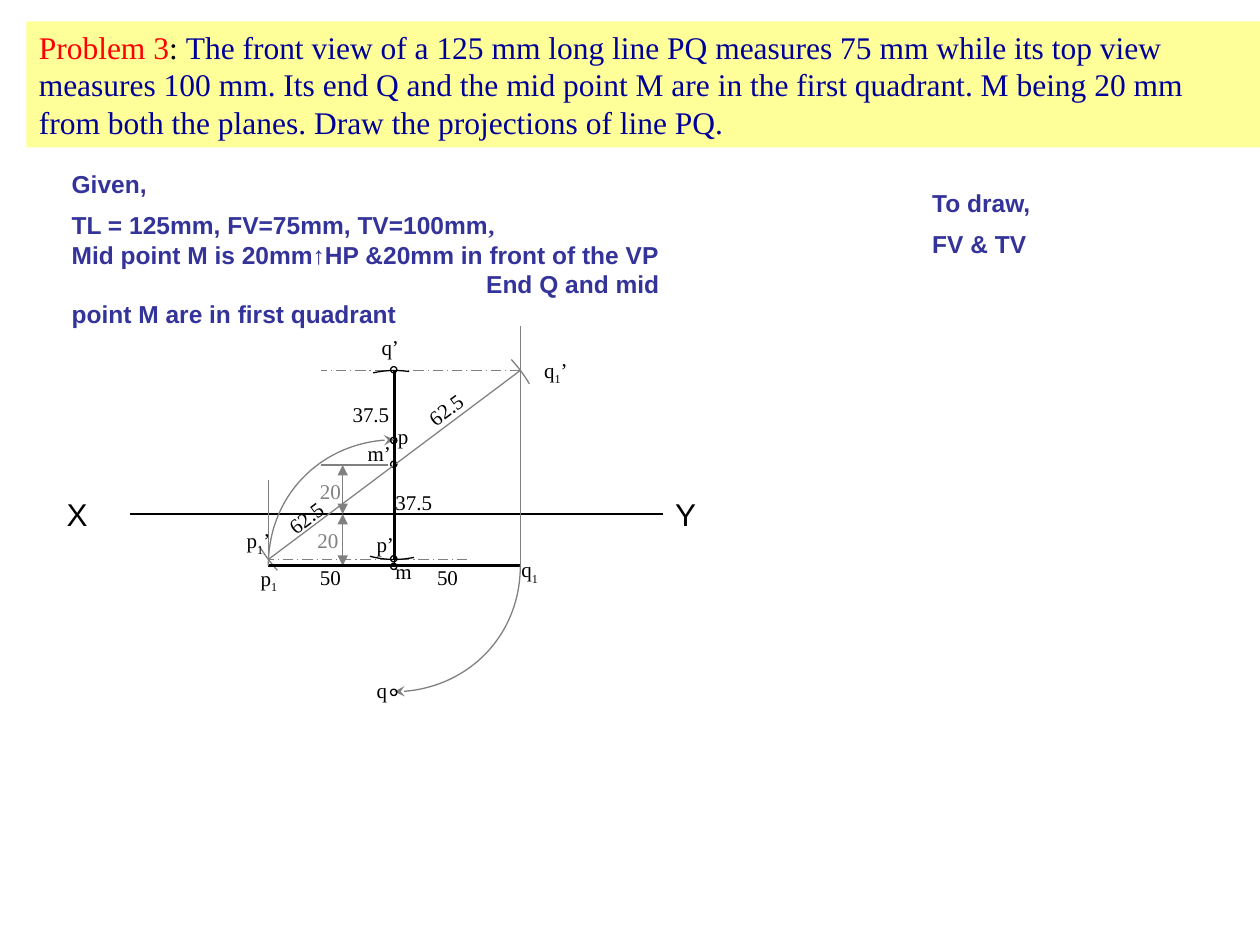
from copy import deepcopy
from math import atan2, cos, degrees, radians, sin, tan

from lxml.etree import SubElement
from pptx import Presentation
from pptx.dml.color import RGBColor
from pptx.enum.dml import MSO_LINE
from pptx.enum.shapes import MSO_CONNECTOR, MSO_SHAPE
from pptx.enum.text import MSO_ANCHOR, PP_ALIGN
from pptx.oxml.ns import qn
from pptx.util import Pt

PX = 9144  # 100 px to the inch

BLACK = RGBColor(0x00, 0x00, 0x00)
GRAY = RGBColor(0x80, 0x80, 0x80)
RED = RGBColor(0xFF, 0x00, 0x00)
NAVY = RGBColor(0x00, 0x00, 0x99)
INDIGO = RGBColor(0x33, 0x33, 0x99)
YELLOW = RGBColor(0xFF, 0xFF, 0x99)
SERIF, SANS = "Times New Roman", "Arial"

# Drawing scale: 2 px to the millimetre, measured from where the XY line meets the projector of M
HALF_TOP_VIEW, HALF_FRONT_VIEW, HALF_TRUE_LENGTH = 100, 75, 125
M_FRONT, M_TOP = -39, 41
Q_FRONT, P_FRONT = M_FRONT - HALF_FRONT_VIEW, M_FRONT + HALF_FRONT_VIEW
P_TOP, Q_TOP = M_TOP - HALF_TOP_VIEW, M_TOP + HALF_TOP_VIEW
SLOPE = degrees(atan2(HALF_FRONT_VIEW, HALF_TOP_VIEW))


def emu(*lengths):
    return [round(length * PX) for length in lengths]


def add_span(para, text, font, size, color, bold=False):
    span = para.add_run()
    span.text = text
    span.font.name, span.font.size, span.font.bold = font, Pt(size), bold
    span.font.color.rgb = color
    return span


def add_text_box(slide, box):
    shape = slide.shapes.add_textbox(*emu(*box))
    shape.text_frame.word_wrap = True
    return shape


def add_arrowheads(line, head=None, tail=None):
    for tag, kind in (("a:headEnd", head), ("a:tailEnd", tail)):
        if kind:
            SubElement(line._get_or_add_ln(), qn(tag), type=kind)


def add_problem(slide, box):
    banner = slide.shapes.add_shape(MSO_SHAPE.RECTANGLE, *emu(*box))
    banner.shadow.inherit = False
    banner.fill.solid()
    banner.fill.fore_color.rgb = YELLOW
    banner.line.fill.background()
    frame = banner.text_frame
    frame.word_wrap, frame.vertical_anchor = True, MSO_ANCHOR.TOP
    para = frame.paragraphs[0]
    para.alignment, para.line_spacing = PP_ALIGN.LEFT, Pt(21.6)
    statement = (
        "The front view of a 125 mm long line PQ measures 75 mm while its top view "
        "measures 100 mm. Its end Q and the mid point M are in the first quadrant. "
        "M being 20 mm from both the planes. Draw the projections of line PQ.")
    for text, color in (("Problem 3", RED), (": ", BLACK), (statement, NAVY)):
        add_span(para, text, SERIF, 18, color)


def add_heading_and_line(slide, box, heading, text):
    """Bold heading with one paragraph below it, which is returned."""
    frame = add_text_box(slide, box).text_frame
    first, second = frame.paragraphs[0], frame.add_paragraph()
    second.space_before = Pt(7)
    for para, words in ((first, heading), (second, text)):
        para.line_spacing = Pt(16.8)
        add_span(para, words, SANS, 14, INDIGO, bold=True)
    return second


def add_given(slide, box):
    para = add_heading_and_line(slide, box, "Given,", "TL = 125mm, FV=75mm, TV=100mm")
    tabs = SubElement(para._p.get_or_add_pPr(), qn("a:tabLst"))
    SubElement(tabs, qn("a:tab"), pos=str(329 * PX), algn="l")
    add_span(para, ",", SERIF, 14, INDIGO, bold=True)
    for text in ("Mid point M is 20mm↑HP &20mm in front of the VP",
                 "\tEnd Q and mid point M are in first quadrant"):
        para.add_line_break()
        add_span(para, text, SANS, 14, INDIGO, bold=True)


def add_projections(slide, box):
    origin_x, origin_y = box[0] + 270, box[1] + 149
    left, right = -HALF_TOP_VIEW, HALF_TOP_VIEW

    def line(x1, y1, x2, y2, color=GRAY, width=0.75, dash=None, arrows=None):
        connector = slide.shapes.add_connector(MSO_CONNECTOR.STRAIGHT, *emu(
            origin_x + x1, origin_y + y1, origin_x + x2, origin_y + y2))
        SubElement(connector._element.spPr, qn("a:effectLst"))
        connector.line.color.rgb, connector.line.width = color, Pt(width)
        if dash:
            connector.line.dash_style = dash
        add_arrowheads(connector.line, arrows, arrows)
        return connector

    def arc(center_y, radius, angles, color=GRAY, head=None):
        """Stroked arc with its unstroked sector, one curve between neighbouring angles."""
        def at(angle, tangent=0):
            turn = radians(angle)
            return emu(origin_x + radius * (cos(turn) - tangent * sin(turn)),
                       origin_y + center_y - radius * (sin(turn) + tangent * cos(turn)))

        points = []
        for start, end in zip(angles, angles[1:]):
            reach = 4 / 3 * tan(radians(end - start) / 4)
            points += [at(start, reach), at(end, -reach), at(end)]
        points.append(emu(origin_x, origin_y + center_y))
        builder = slide.shapes.build_freeform(*at(angles[0]), scale=1.0)
        builder.add_line_segments(points, close=False)
        curve = builder.convert_to_shape()

        outline = next(curve._element.iter(qn("a:path")))
        *steps, to_center = outline.findall(qn("a:lnTo"))
        for index, step in enumerate(steps):
            if index % 3 == 0:
                bezier = SubElement(outline, qn("a:cubicBezTo"))
            bezier.append(step[0])
            outline.remove(step)
        outline.remove(to_center)
        sector = deepcopy(outline)
        sector.append(to_center)
        SubElement(sector, qn("a:close"))
        outline.set("fill", "none")
        sector.set("stroke", "0")
        outline.addnext(sector)

        curve.shadow.inherit = False
        curve.fill.background()
        curve.line.color.rgb, curve.line.width = color, Pt(0.75)
        add_arrowheads(curve.line, head)

    def point(y, rise=3):
        dot = slide.shapes.add_shape(
            MSO_SHAPE.OVAL, *emu(origin_x - 3, origin_y + y - rise, 5, 5))
        dot.shadow.inherit = False
        dot.fill.background()
        dot.line.color.rgb, dot.line.width = BLACK, Pt(0.75)

    def label(text, x, y, width=40, color=BLACK, font=SERIF, size=12, height=30, turn=0):
        """Text whose digit after an underscore is set as a subscript."""
        shape = add_text_box(slide, (origin_x + x, origin_y + y, width, height))
        shape.rotation = turn
        para = shape.text_frame.paragraphs[0]
        base, _, rest = text.partition("_")
        add_span(para, base, font, size, color)
        if rest:
            subscript = add_span(para, rest[0], font, size, color)
            subscript._r.get_or_add_rPr().set("baseline", "-25000")
        if rest[1:]:
            add_span(para, rest[1:], font, size, color)
        return shape

    line(-210, 0, 213, 0, BLACK)
    for name, x in (("X", -270), ("Y", 213)):
        label(name, x, -20, 60, font=SANS, size=18, height=40)

    # Distances of M from both planes
    for y, color, rise in ((M_FRONT, GRAY, 3), (M_TOP, BLACK, 2)):
        point(y, rise)
        line(-5, y, -58, y, color)
        line(-41, min(y, 0), -41, max(y, 0), arrows="triangle")
    line(0, M_FRONT, 0, M_TOP, BLACK)
    label("20", -69, -33, 52, GRAY)
    label("20", -71, 6, 52, GRAY)
    label("m’", -31, -63)
    label("m", -9, 30)

    # True length in the front view, with its projectors and locus lines
    slide.shapes.add_group_shape([
        line(0, M_TOP, right, M_TOP, BLACK), line(left, M_TOP, 0, M_TOP, BLACK)])
    line(left, M_TOP, left, -27)
    line(right, M_TOP, right, -149)
    arc(M_FRONT, HALF_TRUE_LENGTH, (42, 31))
    arc(M_FRONT, HALF_TRUE_LENGTH, (222, 211))
    line(left, P_FRONT, right, Q_FRONT)
    for name, x, y in (("q_1’", 109, -129), ("p_1’", -127, 6),
                       ("p_1", -116, 36), ("q_1", 91, 29)):
        label(name, x, y)
    line(right, Q_FRONT, -58, Q_FRONT, dash=MSO_LINE.LONG_DASH_DOT)
    line(58, P_FRONT, left, P_FRONT, dash=MSO_LINE.LONG_DASH_DOT)

    # Front view
    arc(M_FRONT, HALF_FRONT_VIEW, (103, 90, 81), BLACK)
    arc(M_FRONT, HALF_FRONT_VIEW, (282, 270, 255), BLACK)
    label("q’", -20, -147)
    point(Q_FRONT)
    line(0, P_FRONT, 0, Q_FRONT, BLACK, 1.75)
    point(P_FRONT)
    label("p’", -24, 9)
    slide.shapes.add_group_shape([label("50", x, 35, 52) for x in (-69, 24)])
    slide.shapes.add_group_shape([
        label("62.5", x, y, 52, turn=-SLOPE) for x, y in ((16, -99), (-95, -13))])
    for x, y in ((-43, -94), (-9, -24)):
        label("37.5", x, y, 57)

    # Top view, turned square to the XY line
    line(left, M_TOP, right, M_TOP, BLACK, 1.75)
    arc(M_TOP, HALF_TOP_VIEW, (270, 360), head="stealth")
    arc(M_TOP, HALF_TOP_VIEW, (90, 180), head="stealth")
    point(P_TOP, 2)
    point(Q_TOP, 2)
    label("p", -7, -77)
    label("q", -24, 125)


def main():
    deck = Presentation()
    deck.slide_width, deck.slide_height = emu(1000, 750)
    page = deck.slides.add_slide(deck.slide_layouts[6])
    add_problem(page, (21, 17, 979, 100))
    add_projections(page, (43, 259, 543, 304))
    add_given(page, (47, 129, 502, 115))
    add_heading_and_line(page, (730, 144, 154, 68), "To draw,", "FV & TV")
    deck.save("out.pptx")


if __name__ == "__main__":
    main()
